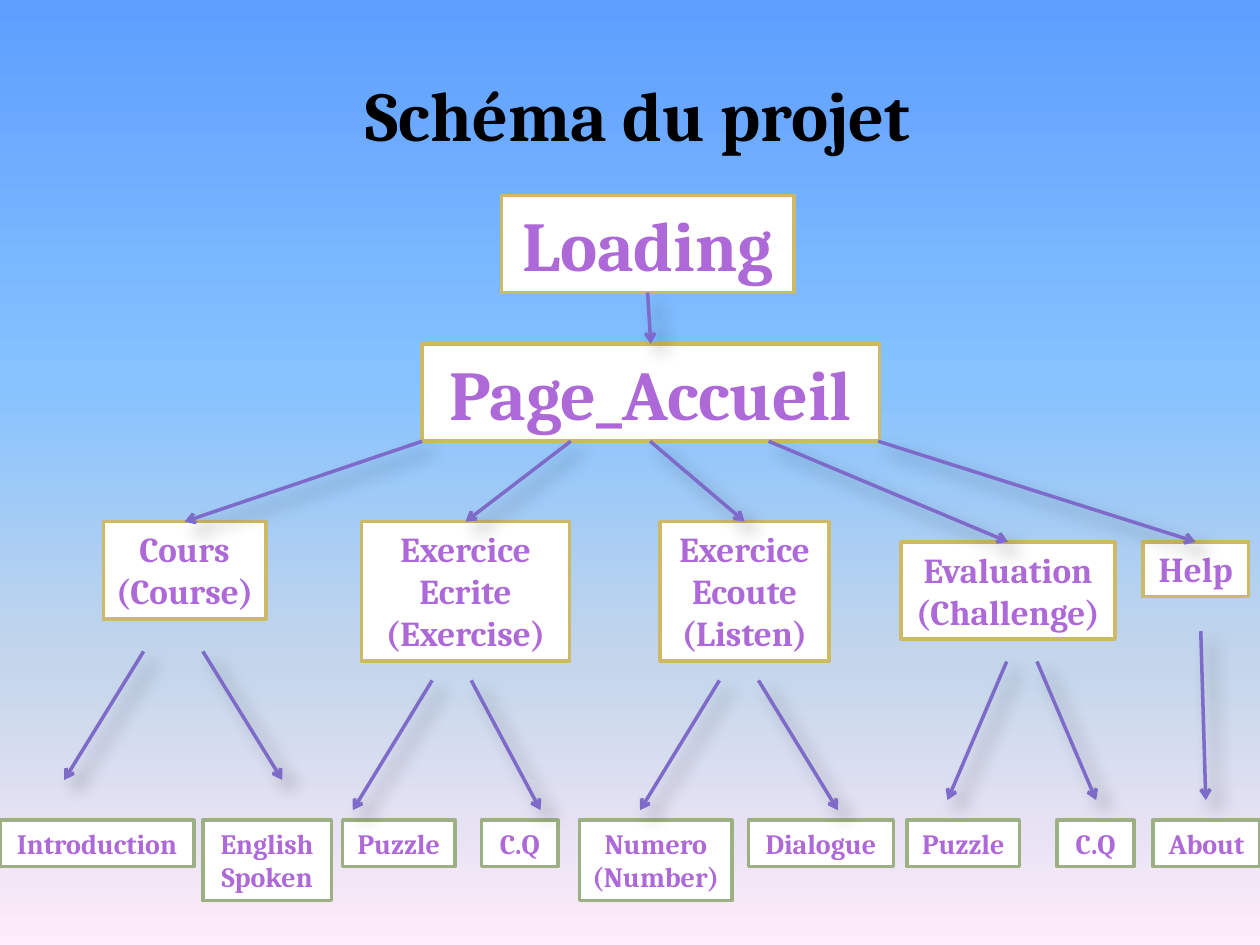
"""Build the project diagram slide: a tree of pages from loading to activities."""
from collections import namedtuple

from lxml.etree import SubElement
from pptx import Presentation
from pptx.dml.color import RGBColor
from pptx.enum.shapes import MSO_CONNECTOR as Connector, MSO_SHAPE as Shape
from pptx.enum.text import MSO_ANCHOR as Anchor, MSO_AUTO_SIZE as AutoSize, PP_ALIGN as Align
from pptx.oxml.ns import qn
from pptx.util import Inches, Pt

Box = namedtuple("Box", "text left top width lines wrap", defaults=(1, False))
Branch = namedtuple("Branch", "box start_x leaf_top leaf_bottom leaf_arrows")

TITLE = "Schéma du projet"
LOADING = Box("Loading", 3.98, 1.55, 2.32)
HOME = Box("Page_Accueil", 3.35, 2.73, 3.63)
BRANCHES = [
    Branch(Box("Cours\n(Course)", 0.82, 4.14, 1.29, 2), 3.35, 5.17, 6.19,
           [(1.14, 0.51), (1.61, 2.24)]),
    Branch(Box("Exercice Ecrite\n(Exercise)", 2.87, 4.14, 1.65, 3, True), 4.53, 5.4, 6.43,
           [(3.43, 2.8), (3.74, 4.29)]),
    Branch(Box("Exercice Ecoute\n(Listen)", 5.24, 4.14, 1.34, 3, True), 5.16, 5.4, 6.43,
           [(5.71, 5.08), (6.02, 6.65)]),
    Branch(Box("Evaluation\n(Challenge)", 7.15, 4.3, 1.7, 2), 6.1, 5.25, 6.35,
           [(7.99, 7.52), (8.23, 8.7)]),
    Branch(Box("Help", 9.07, 4.3, 0.84), 6.97, 5.01, 6.35, [(9.53, 9.57)]),
]
LEAF_TOP = 6.51
LEAVES = [
    Box("Introduction", 0, LEAF_TOP, 1.54, 1, True),
    Box("English Spoken", 1.61, LEAF_TOP, 1.02, 2, True),
    Box("Puzzle", 2.72, LEAF_TOP, 0.89),
    Box("C.Q", 3.82, LEAF_TOP, 0.61),
    Box("Numero\n(Number)", 4.6, LEAF_TOP, 1.21, 2),
    Box("Dialogue", 5.94, LEAF_TOP, 1.15),
    Box("Puzzle", 7.2, LEAF_TOP, 0.89),
    Box("C.Q", 8.39, LEAF_TOP, 0.61, 1, True),
    Box("About", 9.15, LEAF_TOP, 0.85),
]
THEME = {
    "font": "Cambria", "title": "000000", "fill": "FFFFFF", "arrow": "7E6BC9", "shadow": "000000",
    "page": "CEB966", "leaf": "9CB084", "line": 2,
    "large": 40, "medium": 20, "small": 16, "line_spacing": 1.21,
    "sky": [(0, "5E9EFF"), (40, "85C2FF"), (70, "C4D6EB"), (100, "FFEBFA")],
    "violet": [(0, "552C6D"), (78, "AE69D8"), (100, "F7F0FB")],
}


def color(name):
    return RGBColor.from_string(THEME[name])


def set_gradient(fill, owner, stops):
    fill.gradient()
    fill.gradient_angle = 270
    stop_list = owner.find(".//" + qn("a:gsLst"))
    for old_stop in list(stop_list):
        stop_list.remove(old_stop)
    for position, value in stops:
        stop = SubElement(stop_list, qn("a:gs"), pos=str(position * 1000))
        SubElement(stop, qn("a:srgbClr"), val=value)


def write_text(frame, text, size, align=Align.CENTER, wrap=True, gradient=None,
               auto_size=AutoSize.SHAPE_TO_FIT_TEXT):
    frame.text = text
    frame.word_wrap = wrap
    frame.auto_size = auto_size
    frame.vertical_anchor = Anchor.TOP
    for paragraph in frame.paragraphs:
        paragraph.alignment = align
        for run in paragraph.runs:
            run.font.name, run.font.size, run.font.bold = THEME["font"], Pt(size), True
            if gradient:
                set_gradient(run.font.fill, run._r, gradient)
            else:
                run.font.color.rgb = color("title")


def box_height(box, size):
    return 0.1 + box.lines * size * THEME["line_spacing"] / 72


def top_center(box):
    return box.left + box.width / 2, box.top


def add_box(slide, box, size, outline):
    place = (box.left, box.top, box.width, box_height(box, size))
    shape = slide.shapes.add_shape(Shape.RECTANGLE, *map(Inches, place))
    shape.shadow.inherit = False
    shape.fill.solid()
    shape.fill.fore_color.rgb = color("fill")
    shape.line.color.rgb = color(outline)
    shape.line.width = Pt(THEME["line"])
    write_text(shape.text_frame, box.text, size, wrap=box.wrap, gradient=THEME["violet"])


def add_arrow(slide, start, end):
    arrow = slide.shapes.add_connector(Connector.STRAIGHT, *map(Inches, (*start, *end)))
    arrow.line.color.rgb = color("arrow")
    arrow.line.width = Pt(THEME["line"])
    properties = arrow._element.spPr
    SubElement(properties.find(qn("a:ln")), qn("a:tailEnd"), type="arrow")
    effects = SubElement(properties, qn("a:effectLst"))
    shadow = SubElement(effects, qn("a:outerShdw"), blurRad=str(Pt(10.2)), dist=str(Pt(8)),
                        dir="2700000", algn="tl", rotWithShape="0")
    shade = SubElement(shadow, qn("a:srgbClr"), val=THEME["shadow"])
    SubElement(shade, qn("a:alpha"), val="35000")


def main():
    presentation = Presentation()
    presentation.slide_width, presentation.slide_height = Inches(10), Inches(7.5)
    slide = presentation.slides.add_slide(presentation.slide_layouts[5])
    set_gradient(slide.background.fill, slide.element, THEME["sky"])

    title = slide.shapes.title
    title.left, title.top, title.width, title.height = map(Inches, (2.8, 0.52, 4.96, 1.08))
    write_text(title.text_frame, TITLE, THEME["large"], align=Align.LEFT, auto_size=AutoSize.NONE)

    for box in (LOADING, HOME):
        add_box(slide, box, THEME["large"], "page")
    for branch in BRANCHES:
        add_box(slide, branch.box, THEME["medium"], "page")
    for leaf in LEAVES:
        add_box(slide, leaf, THEME["small"], "leaf")

    loading_bottom = LOADING.top + box_height(LOADING, THEME["large"])
    home_bottom = HOME.top + box_height(HOME, THEME["large"])
    add_arrow(slide, (top_center(LOADING)[0], loading_bottom), top_center(HOME))
    for branch in BRANCHES:
        add_arrow(slide, (branch.start_x, home_bottom), top_center(branch.box))
        for start_x, end_x in branch.leaf_arrows:
            add_arrow(slide, (start_x, branch.leaf_top), (end_x, branch.leaf_bottom))
    presentation.save("out.pptx")


if __name__ == "__main__":
    main()
